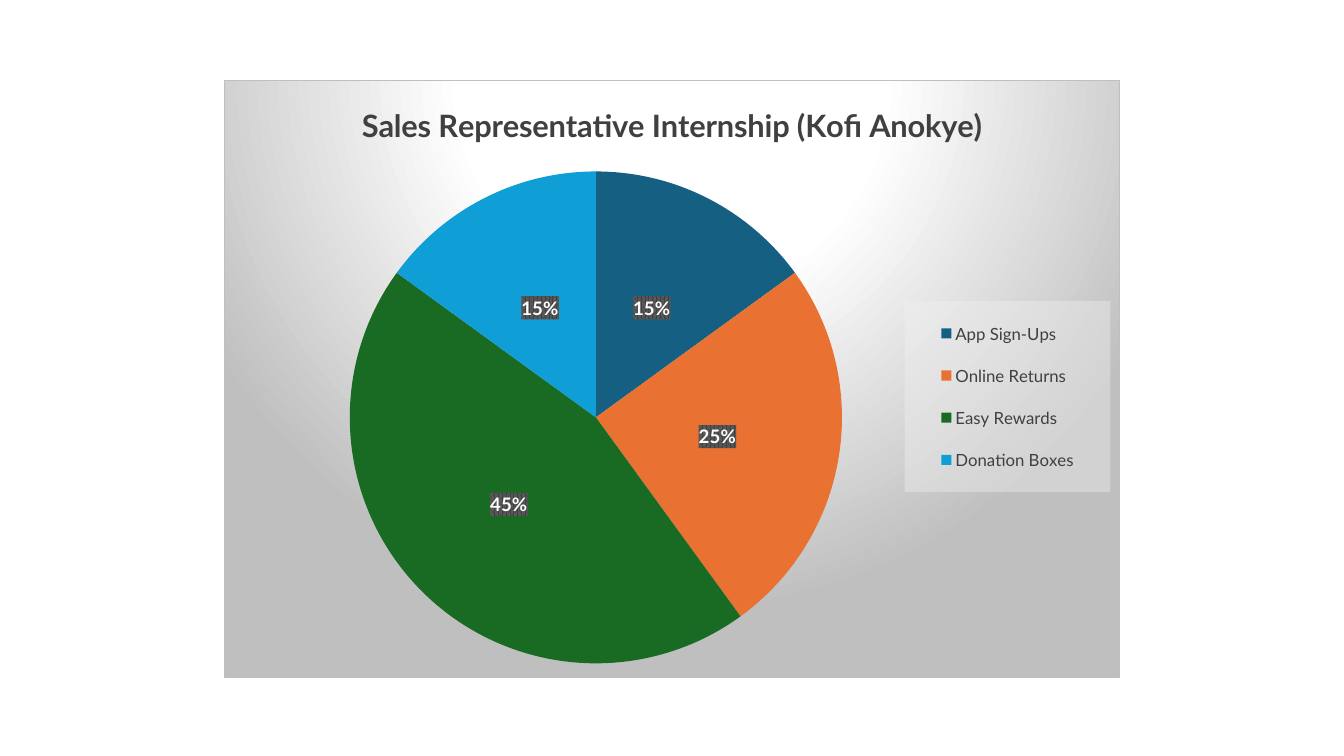
from lxml.etree import fromstring
from pptx import Presentation
from pptx.chart.data import CategoryChartData
from pptx.dml.color import RGBColor
from pptx.enum.chart import XL_CHART_TYPE, XL_LABEL_POSITION, XL_LEGEND_POSITION
from pptx.util import Pt

COLORS = {
    "text": "404040",
    "white": "FFFFFF",
    "gray": "BFBFBF",
    "label_light": "595959",
    "legend": "F2F2F2",
}
TITLE = "Sales Representative Internship (Kofi Anokye)"
SLICES = [
    ("App Sign-Ups", 15, "156082"),
    ("Online Returns", 25, "E97132"),
    ("Easy Rewards", 45, "196B24"),
    ("Donation Boxes", 15, "0F9ED5"),
]
NAMESPACES = (
    'xmlns:c="http://schemas.openxmlformats.org/drawingml/2006/chart" '
    'xmlns:a="http://schemas.openxmlformats.org/drawingml/2006/main"'
)


def chart_xml(markup):
    """Build one chart element, adding the namespaces to its root tag."""
    return fromstring(markup.replace(">", f" {NAMESPACES}>", 1))


def color_xml(name, inner=""):
    return f'<a:srgbClr val="{COLORS[name]}">{inner}</a:srgbClr>'


def shape_style(fill, line="<a:ln><a:noFill/></a:ln>"):
    return chart_xml(f"<c:spPr>{fill}{line}</c:spPr>")


def manual_layout(x, y, w, h, target=""):
    """Place a chart part by fractions of the chart area."""
    parts = "".join(f'<c:{key} val="{value}"/>' for key, value in
                    [("xMode", "edge"), ("yMode", "edge"),
                     ("x", x), ("y", y), ("w", w), ("h", h)])
    return chart_xml(f"<c:layout><c:manualLayout>{target}{parts}</c:manualLayout></c:layout>")


def set_layout(parent, layout, before):
    """Swap in a layout, which must precede the named sibling."""
    for old in parent.findall("{*}layout"):
        parent.remove(old)
    parent.find("{*}" + before).addprevious(layout)


class SlideBuilder:
    def __init__(self, slide, typeface="Lato"):
        self.slide = slide
        self.typeface = typeface

    def style_font(self, font, size, color="text", bold=False):
        font.name = self.typeface
        font.size = Pt(size)
        font.bold = bold
        font.color.rgb = RGBColor.from_string(COLORS[color])

    def add_text(self, frame, text, **style):
        span = frame.paragraphs[0].add_run()
        span.text = text
        self.style_font(span.font, **style)

    def pie(self, left, top, width, height, title, slices):
        data = CategoryChartData(number_format="0")
        data.categories = [name for name, _, _ in slices]
        data.add_series(title, [value for _, value, _ in slices])
        chart = self.slide.shapes.add_chart(
            XL_CHART_TYPE.PIE, Pt(left), Pt(top), Pt(width), Pt(height), data).chart
        self.style_font(chart.font, size=10)
        self.add_text(chart.chart_title.text_frame, title, size=22, bold=True)
        plot = chart.plots[0]
        plot.vary_by_categories = True
        for index, (_, _, color) in enumerate(slices):
            point = plot.series[0].points[index].format
            point.fill.solid()
            point.fill.fore_color.rgb = RGBColor.from_string(color)
            point.line.fill.background()
        return chart

    def percent_labels(self, chart):
        series = chart.plots[0].series[0]
        labels = series.data_labels
        labels.show_percentage = True
        labels.show_value = False
        labels.show_legend_key = False
        labels.number_format = "0%"
        labels.number_format_is_linked = False
        labels.position = XL_LABEL_POSITION.CENTER
        self.style_font(labels.font, size=13.3, color="white", bold=True)
        fill = (f'<a:pattFill prst="pct75"><a:fgClr>{color_xml("text")}</a:fgClr>'
                f'<a:bgClr>{color_xml("label_light")}</a:bgClr></a:pattFill>')
        series._element.find("{*}dLbls/{*}numFmt").addnext(shape_style(fill))

    def legend(self, chart, x, y, w, h):
        chart.has_legend = True
        legend = chart.legend
        legend.position = XL_LEGEND_POSITION.RIGHT
        legend.include_in_layout = False
        self.style_font(legend.font, size=12)
        element = chart._chartSpace.find(".//{*}legend")
        set_layout(element, manual_layout(x, y, w, h), before="overlay")
        tint = color_xml("legend", '<a:alpha val="39000"/>')
        fill = f"<a:solidFill>{tint}</a:solidFill>"
        element.find("{*}overlay").addnext(shape_style(fill))

    def backdrop(self, chart):
        """Give the chart area its radial gradient and thin border."""
        stops = "".join(f'<a:gs pos="{share * 1000}">{color_xml(name)}</a:gs>'
                        for share, name in [(0, "white"), (39, "white"), (100, "gray")])
        fill = (f'<a:gradFill><a:gsLst>{stops}</a:gsLst><a:path path="circle">'
                '<a:fillToRect l="50000" t="-80000" r="50000" b="180000"/>'
                '</a:path></a:gradFill>')
        line = f'<a:ln w="{Pt(0.75)}"><a:solidFill>{color_xml("gray")}</a:solidFill></a:ln>'
        chart._chartSpace.find("{*}chart").addnext(shape_style(fill, line))


def main():
    deck = Presentation()
    deck.slide_width, deck.slide_height = Pt(960), Pt(540)
    builder = SlideBuilder(deck.slides.add_slide(deck.slide_layouts[6]))
    chart = builder.pie(160, 57, 640, 427, TITLE, SLICES)
    builder.percent_labels(chart)
    builder.legend(chart, x=0.76, y=0.37, w=0.23, h=0.32)
    builder.backdrop(chart)
    pie_layout = manual_layout(0.14, 0.15, 0.55, 0.83, '<c:layoutTarget val="inner"/>')
    set_layout(chart._chartSpace.find(".//{*}plotArea"), pie_layout, before="pieChart")
    deck.save("out.pptx")


if __name__ == "__main__":
    main()
